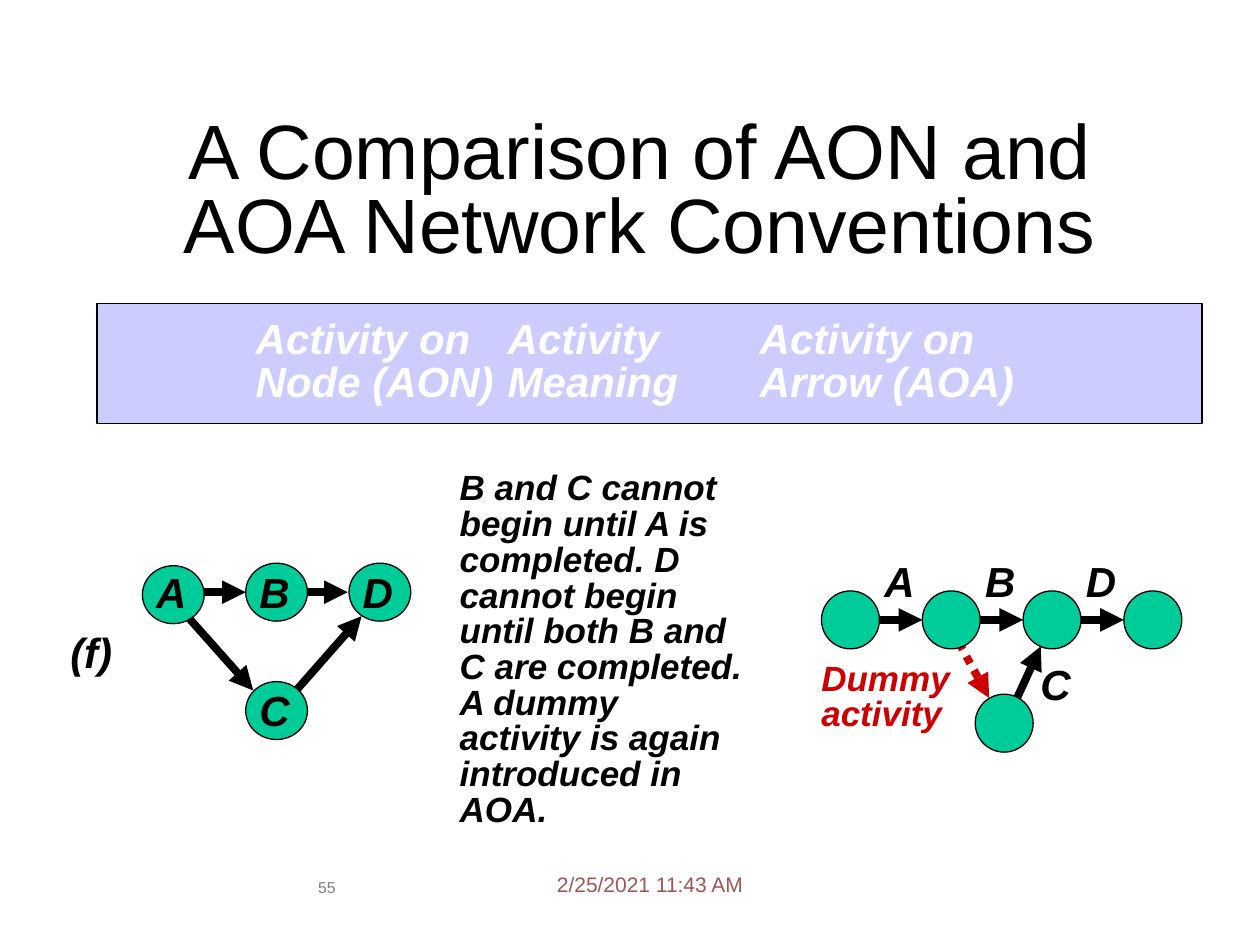
"""Build a slide comparing AON and AOA network conventions."""
from lxml import etree
from pptx import Presentation
from pptx import util as u
from pptx.dml.color import RGBColor
from pptx.enum import dml, shapes, text
from pptx.oxml.ns import qn

COLORS = {"ink": "000000", "white": "FFFFFF", "band": "CCCCFF", "node": "00CC99",
          "dummy": "CC0000", "date": "9F5555", "number": "808080"}
TITLE = "A Comparison of AON and AOA Network Conventions"
HEADER = ["\tActivity on\tActivity\tActivity on", "\tNode (AON)\tMeaning\tArrow (AOA)"]
HEADER_TABS = [1, 3, 5]
MEANING = ("B and C cannot begin until A is completed. D cannot begin until both "
           "B and C are completed. A dummy activity is again introduced in AOA.")

AON_STEP, AON_SIZE = 0.82, (0.49, 0.46)
AON_NODES = [("A", 0, 4.49, 4.45), ("C", 1, 5.41, 5.38),
             ("D", 2, 4.47, 4.45), ("B", 1, 4.47, 4.45)]
AON_ARROWS = [((1.45, 4.85), (2.01, 5.48)), ((2.28, 5.56), (2.87, 4.89)),
              ((1.43, 4.7), (1.95, 4.7)), ((2.25, 4.7), (2.76, 4.7))]

AOA_LEFT, AOA_TOP, AOA_STEP, AOA_SIZE = 6.52, 4.69, 0.8, (0.46, 0.46)
AOA_LABELS = "ABD"
AOA_BRANCH = (7.74, 5.51)
AOA_ARROWS = [((8.04, 5.61), (8.26, 5.13), "ink"), ((7.61, 5.1), (7.85, 5.54), "dummy")]


def rgb(name):
    return RGBColor.from_string(COLORS[name])


def write(tf, lines, size, color="ink", bold=True, spacing=None, align=None, tabs=()):
    tf.text = "\n".join(lines)
    for p in tf.paragraphs:
        if spacing:
            p.line_spacing = spacing
        if align:
            p.alignment = align
        if tabs:
            stops = etree.SubElement(p._p.get_or_add_pPr(), qn("a:tabLst"))
            for tab in tabs:
                etree.SubElement(stops, qn("a:tab"), pos=str(u.Inches(tab)), algn="l")
        for r in p.runs:
            r.font.name, r.font.size = "Arial", u.Pt(size)
            r.font.bold = r.font.italic = bold
            r.font.color.rgb = rgb(color)


def set_insets(tf, x, y):
    tf.margin_left = tf.margin_right = u.Inches(x)
    tf.margin_top = tf.margin_bottom = u.Inches(y)


def add_text(parent, box, line, size, wrap=True, inset=True, **style):
    tf = parent.add_textbox(*map(u.Inches, box)).text_frame
    tf.word_wrap = wrap
    if inset:
        tf.auto_size = text.MSO_AUTO_SIZE.SHAPE_TO_FIT_TEXT
    else:
        set_insets(tf, 0, 0)
    write(tf, [line], size, **style)


def add_label(parent, x, y, label, width=0.44):
    add_text(parent, (x, y, width, 0.5), label, 24, wrap=False)


def add_block(parent, kind, box, fill):
    sp = parent.add_shape(kind, *map(u.Inches, box))
    sp.shadow.inherit = False
    sp.fill.solid()
    sp.fill.fore_color.rgb = rgb(fill)
    sp.line.color.rgb = rgb("ink")
    sp.line.width = u.Pt(0.75)
    return sp


def add_node(parent, x, y, size):
    add_block(parent, shapes.MSO_SHAPE.OVAL, (x, y, *size), "node")


def add_arrow(parent, start, end, color="ink"):
    c = parent.add_connector(shapes.MSO_CONNECTOR.STRAIGHT, *map(u.Inches, (*start, *end)))
    c.line.color.rgb = rgb(color)
    c.line.width = u.Pt(4.5)
    if color == "dummy":
        c.line.dash_style = dml.MSO_LINE.ROUND_DOT
    etree.SubElement(c.line._get_or_add_ln(), qn("a:tailEnd"), type="triangle")
    etree.SubElement(c._element.spPr, qn("a:effectLst"))


def add_aon(s):
    group = s.shapes.add_group_shape().shapes
    for start, end in AON_ARROWS:
        add_arrow(group, start, end)
    for label, col, top, label_top in AON_NODES:
        x = 1.13 + col * AON_STEP
        add_node(group, x, top, AON_SIZE)
        add_label(group, x + 0.01, label_top, label)


def add_aoa(s):
    for i, label in enumerate(AOA_LABELS):
        x = AOA_LEFT + i * AOA_STEP
        add_arrow(s.shapes, (x + 0.29, 4.92), (x + AOA_STEP, 4.92))
        add_label(s.shapes, x + 0.4, 4.36, label)
    add_label(s.shapes, 8.16, 5.18, "C")
    for start, end, color in AOA_ARROWS:
        add_arrow(s.shapes, start, end, color)
    for i in range(len(AOA_LABELS) + 1):
        add_node(s.shapes, AOA_LEFT + i * AOA_STEP, AOA_TOP, AOA_SIZE)
    add_node(s.shapes, *AOA_BRANCH, AOA_SIZE)
    add_text(s.shapes, (6.42, 5.21, 1.4, 0.67), "Dummy activity", 20,
             color="dummy", spacing=0.85)


def main():
    prs = Presentation()
    prs.slide_width, prs.slide_height = u.Inches(10), u.Inches(7.5)
    s = prs.slides.add_slide(prs.slide_layouts[5])

    title = s.shapes.title
    title.left, title.top, title.width, title.height = map(u.Inches, (0.83, 0.87, 8.5, 1.34))
    tf = title.text_frame
    tf.auto_size = text.MSO_AUTO_SIZE.NONE
    tf.vertical_anchor = text.MSO_ANCHOR.MIDDLE
    write(tf, [TITLE], 44, bold=False, spacing=0.8, align=text.PP_ALIGN.CENTER)

    add_text(s.shapes, (4.42, 6.92, 1.67, 0.25), "2/25/2021 11:43 AM", 12,
             inset=False, color="date", bold=False)
    add_text(s.shapes, (2.4, 6.97, 0.39, 0.34), "55", 9, inset=False,
             color="number", bold=False, align=text.PP_ALIGN.CENTER)

    band = add_block(s.shapes, shapes.MSO_SHAPE.RECTANGLE, (0.77, 2.41, 8.77, 0.95), "band")
    tf = band.text_frame
    set_insets(tf, 0.26, 0.13)
    tf.vertical_anchor = text.MSO_ANCHOR.TOP
    write(tf, HEADER, 24, color="white", spacing=0.85, align=text.PP_ALIGN.LEFT,
          tabs=HEADER_TABS)

    add_text(s.shapes, (3.55, 3.7, 2.48, 2.93), MEANING, 20, spacing=0.85)
    add_label(s.shapes, 0.46, 4.92, "(f)", width=0.53)
    add_aon(s)
    add_aoa(s)
    prs.save("out.pptx")


if __name__ == "__main__":
    main()
